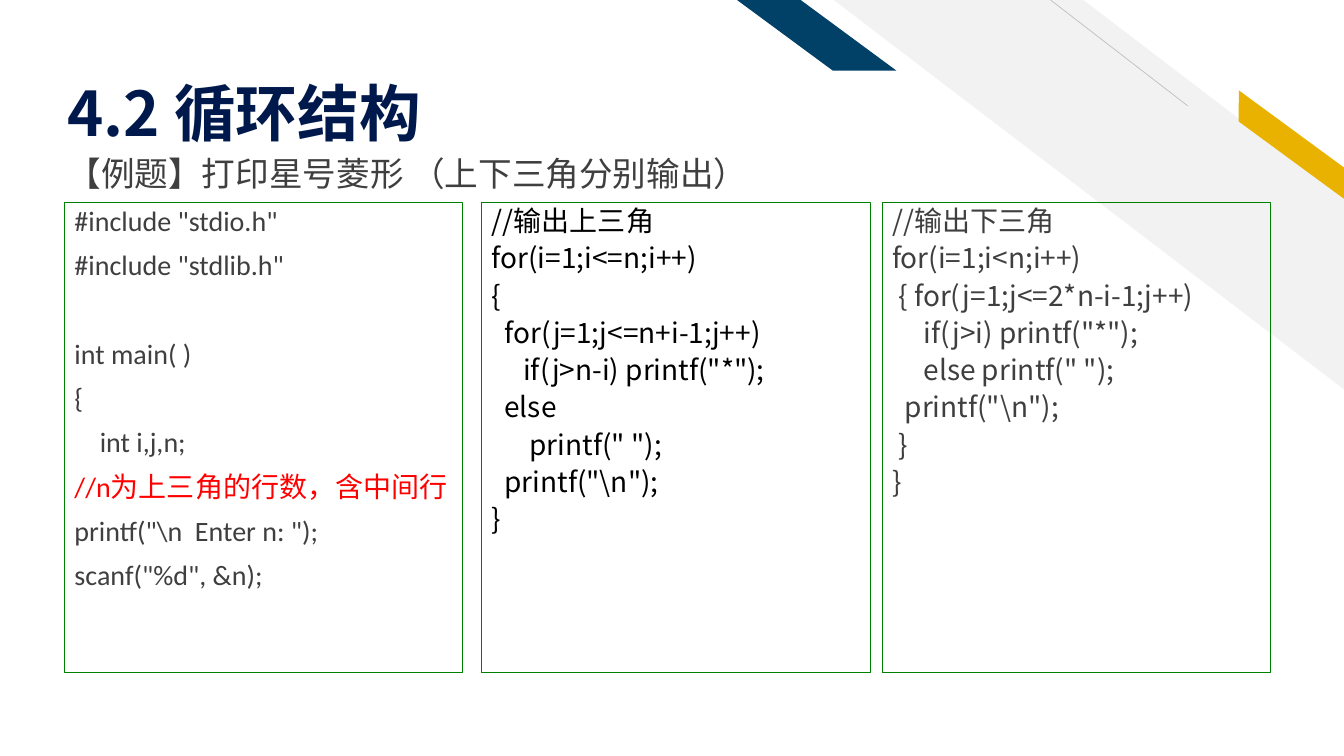
from dataclasses import dataclass

from lxml import etree
from pptx import Presentation
from pptx.dml.color import RGBColor
from pptx.enum.shapes import MSO_CONNECTOR, MSO_SHAPE
from pptx.enum.text import MSO_ANCHOR, MSO_AUTO_SIZE, PP_ALIGN
from pptx.oxml.ns import qn
from pptx.util import Inches, Pt

STRIPE, PARALLELOGRAM = MSO_SHAPE.DIAGONAL_STRIPE, MSO_SHAPE.PARALLELOGRAM
STRAIGHT = MSO_CONNECTOR.STRAIGHT
TOP, BOTTOM = MSO_ANCHOR.TOP, MSO_ANCHOR.BOTTOM
LEFT = PP_ALIGN.LEFT
NO_AUTOFIT = MSO_AUTO_SIZE.NONE
TITLE_AND_CONTENT = 1


@dataclass(frozen=True)
class Theme:
    navy: str = "00194C"
    blue: str = "014067"
    gold: str = "EAB200"
    pale: str = "F2F2F2"
    hairline: str = "BFBFBF"
    border: str = "008000"
    gray: str = "3F3F3F"
    black: str = "000000"
    red: str = "FF0000"
    title_size: int = 44
    example_size: int = 24
    code_size: int = 20
    latin: str = "Calibri"
    chinese: str = "Noto Sans CJK SC"


THEME = Theme()


@dataclass(frozen=True)
class TextStyle:
    size: int
    font: str
    color: str
    before: float = 0
    bold: bool = False


@dataclass(frozen=True)
class Band:
    """A mirrored decorative stripe."""
    preset: int
    place: tuple[float, float, float, float]
    adjustment: float
    color: str
    rotation: float = 0


@dataclass(frozen=True)
class CodePanel:
    left: float
    width: float
    style: TextStyle
    code: str


BANDS = (
    Band(STRIPE, (8.27, 0, 5.07, 3.87), 0.512, THEME.pale),
    Band(PARALLELOGRAM, (12.07, 1.31, 1.48, 0.25), 0.72, THEME.gold, 36.3),
    Band(PARALLELOGRAM, (7.31, 0, 1.58, 0.7), 1.356, THEME.blue),
)

TITLE_STYLE = TextStyle(THEME.title_size, THEME.chinese, THEME.navy, bold=True)
EXAMPLE_STYLE = TextStyle(THEME.example_size, THEME.latin, THEME.gray, 10)

PANEL_TOP, PANEL_HEIGHT = 2.01, 4.66
PANELS = (
    CodePanel(0.64, 3.95, TextStyle(THEME.code_size, THEME.latin, THEME.gray, 10),
              r'''#include "stdio.h"
#include "stdlib.h"

int main( )
{
    int i,j,n;
//n为上三角的行数，含中间行
printf("\n  Enter n: ");
scanf("%d", &n);'''),
    CodePanel(4.78, 3.85, TextStyle(THEME.code_size, THEME.chinese, THEME.black, 5),
              r'''//输出上三角
for(i=1;i<=n;i++)
{
  for(j=1;j<=n+i-1;j++)
     if(j>n-i) printf("*");
  else
      printf(" ");
  printf("\n");
}'''),
    CodePanel(8.75, 3.85, TextStyle(THEME.code_size, THEME.chinese, THEME.gray, 5),
              r'''//输出下三角
for(i=1;i<n;i++)
 { for(j=1;j<=2*n-i-1;j++)
     if(j>i) printf("*");
     else printf(" ");
  printf("\n");
 }
}'''),
)
HIGHLIGHTED = "//n"


def rgb(color: str) -> RGBColor:
    return RGBColor.from_string(color)


def place(shape, left: float, top: float, width: float, height: float) -> None:
    values = {"left": left, "top": top, "width": width, "height": height}
    for name, value in values.items():
        setattr(shape, name, Inches(value))


def format_font(font, style: TextStyle, color: str) -> None:
    values = {"size": Pt(style.size), "name": style.font, "bold": style.bold}
    for name, value in values.items():
        setattr(font, name, value)
    font.color.rgb = rgb(color)


def write_text(shape, text: str, style: TextStyle, anchor=TOP, bottom: float = 0.05) -> None:
    frame = shape.text_frame
    values = {"word_wrap": True, "auto_size": NO_AUTOFIT, "vertical_anchor": anchor,
              "margin_left": Inches(0.1), "margin_right": Inches(0.1),
              "margin_top": Inches(0.05), "margin_bottom": Inches(bottom)}
    for name, value in values.items():
        setattr(frame, name, value)
    for number, line in enumerate(text.split("\n")):
        para = frame.add_paragraph() if number else frame.paragraphs[0]
        para_values = {"alignment": LEFT, "line_spacing": 0.9,
                       "space_before": Pt(style.before), "space_after": Pt(0)}
        for name, value in para_values.items():
            setattr(para, name, value)
        if not line:
            format_font(para.font, style, style.color)
            para.font.size = Pt(style.size)
            continue
        span = para.add_run()
        span.text = line
        color = THEME.red if line.startswith(HIGHLIGHTED) else style.color
        format_font(span.font, style, color)
        east_asian = etree.SubElement(span.font._element, qn("a:ea"))
        east_asian.set("typeface", THEME.chinese)


def remove_bullet(para) -> None:
    properties = para._p.get_or_add_pPr()
    properties.set("marL", "0")
    properties.set("indent", "0")
    etree.SubElement(properties, qn("a:buNone"))


def draw_band(page, band: Band) -> None:
    shape = page.shapes.add_shape(band.preset, *map(Inches, band.place))
    shape.shadow.inherit = False
    shape.adjustments[0] = band.adjustment
    shape.rotation = band.rotation
    shape.fill.solid()
    shape.fill.fore_color.rgb = rgb(band.color)
    shape.line.fill.background()
    shape._element.spPr.find(qn("a:xfrm")).set("flipH", "1")


def draw_hairline(page) -> None:
    line = page.shapes.add_connector(
        STRAIGHT, Inches(11.78), Inches(1.05), Inches(10.42), Inches(0))
    line.line.color.rgb = rgb(THEME.hairline)
    line.line.width = Pt(0.5)
    etree.SubElement(line._element.spPr, qn("a:effectLst"))


def draw_panel(page, panel: CodePanel) -> None:
    box = page.shapes.add_textbox(
        Inches(panel.left), Inches(PANEL_TOP), Inches(panel.width), Inches(PANEL_HEIGHT))
    box.line.color.rgb = rgb(THEME.border)
    box.line.width = Pt(0.75)
    write_text(box, panel.code, panel.style)


def main() -> None:
    deck = Presentation()
    deck.slide_width, deck.slide_height = Inches(13.33), Inches(7.5)
    page = deck.slides.add_slide(deck.slide_layouts[TITLE_AND_CONTENT])
    title, example = page.shapes.title, page.placeholders[1]

    for band in BANDS:
        draw_band(page, band)
    draw_hairline(page)

    place(example, 0.57, 1.51, 8.06, 0.67)
    write_text(example, "【例题】打印星号菱形 （上下三角分别输出）", EXAMPLE_STYLE)
    remove_bullet(example.text_frame.paragraphs[0])
    place(title, 0.57, 0.23, 9.11, 1.26)
    write_text(title, "4.2 循环结构", TITLE_STYLE, BOTTOM, 0)
    for placeholder in (example, title):
        page.shapes._spTree.append(placeholder._element)

    for panel in PANELS:
        draw_panel(page, panel)
    deck.save("out.pptx")


if __name__ == "__main__":
    main()
